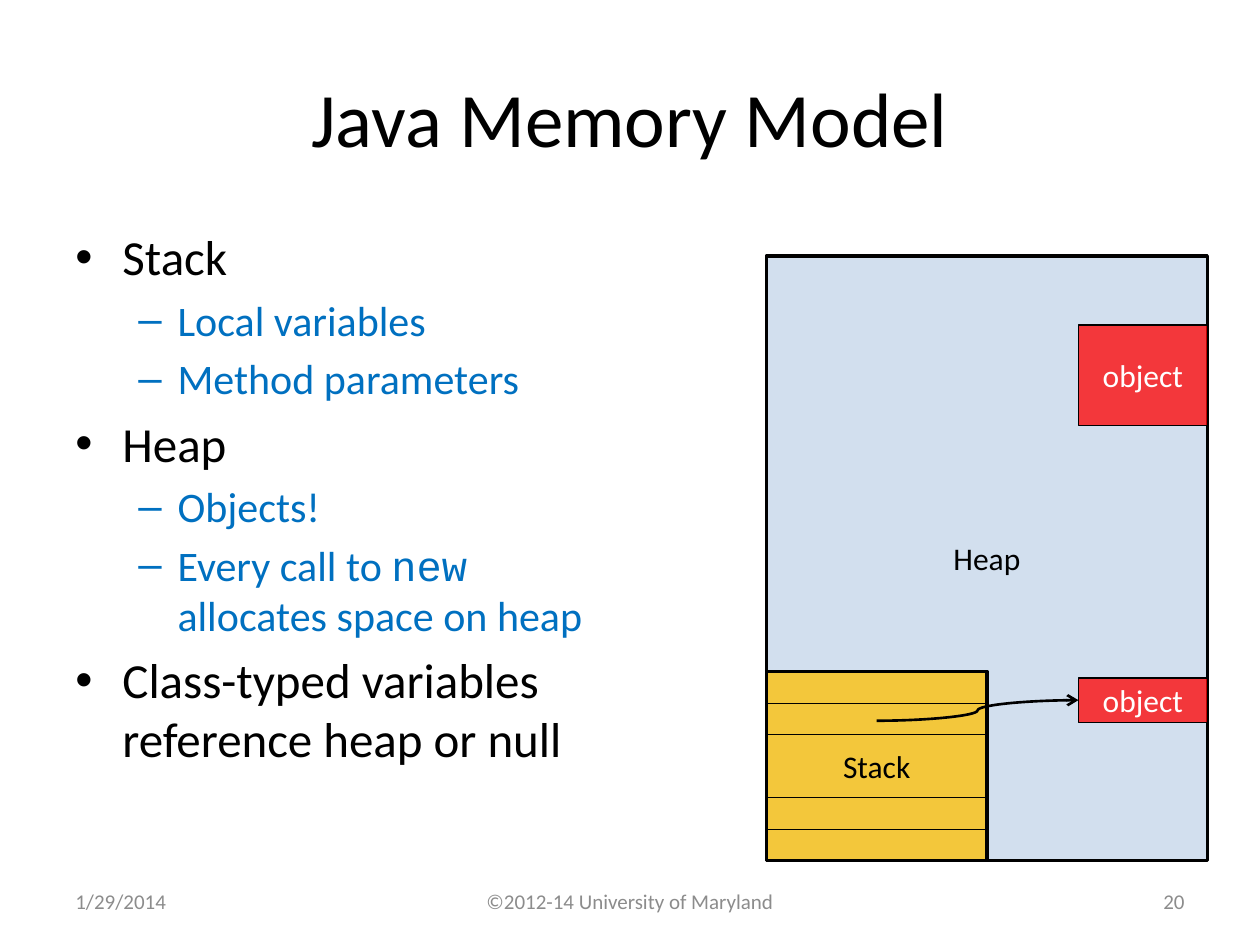
from dataclasses import dataclass

from lxml.etree import SubElement
from pptx import Presentation
from pptx.dml.color import RGBColor
from pptx.enum.shapes import MSO_CONNECTOR as Link, MSO_SHAPE as Preset
from pptx.enum.text import MSO_ANCHOR as Anchor, PP_ALIGN as Align
from pptx.oxml.ns import qn
from pptx.util import Cm, Pt


@dataclass(frozen=True)
class Theme:
    black: RGBColor = RGBColor(0, 0, 0)
    white: RGBColor = RGBColor(255, 255, 255)
    detail: RGBColor = RGBColor(0x00, 0x70, 0xC0)
    footer: RGBColor = RGBColor(0x8C, 0x8C, 0x8C)
    heap: RGBColor = RGBColor(0x4F, 0x81, 0xBD)
    stack: RGBColor = RGBColor(0xFF, 0xC0, 0x00)
    instance: RGBColor = RGBColor(0xFF, 0x00, 0x00)
    font: str = "Calibri"
    code_font: str = "Courier New"
    title_size: int = 44
    topic_size: int = 28
    detail_size: int = 24
    label_size: int = 18
    footer_size: int = 12


THEME = Theme()

# Per outline level: marker, left margin, hanging indent, size, colour
LEVELS = [
    ("•", Cm(0.95), Cm(0.95), THEME.topic_size, THEME.black),
    ("–", Cm(2.06), Cm(0.79), THEME.detail_size, THEME.detail),
]

# Each entry: level, then runs as (words, is code)
OUTLINE = [
    (0, [("Stack", False)]),
    (1, [("Local variables", False)]),
    (1, [("Method parameters", False)]),
    (0, [("Heap", False)]),
    (1, [("Objects!", False)]),
    (1, [("Every call to ", False), ("new", True),
         (" allocates space on heap", False)]),
    (0, [("Class-typed variables reference heap or null", False)]),
]


def add_run(paragraph, words, size, color, font=THEME.font):
    run = paragraph.add_run()
    run.text = words
    run.font.color.rgb = color
    for attribute, value in {"name": font, "size": Pt(size)}.items():
        setattr(run.font, attribute, value)


def add_text(slide, box, words, size, color, align):
    frame = slide.shapes.add_textbox(*box).text_frame
    frame.word_wrap = True
    frame.vertical_anchor = Anchor.MIDDLE
    line = frame.paragraphs[0]
    line.alignment = align
    add_run(line, words, size, color)


def add_outline(slide, box, entries):
    frame = slide.shapes.add_textbox(*box).text_frame
    frame.word_wrap = True
    for index, (level, runs) in enumerate(entries):
        marker, margin, hanging, size, color = LEVELS[level]
        entry = frame.add_paragraph() if index else frame.paragraphs[0]
        entry.level = level
        entry.space_before = Pt(size * 0.2)
        properties = entry._p.get_or_add_pPr()
        properties.set("marL", str(margin))
        properties.set("indent", str(-hanging))
        SubElement(properties, qn("a:buFont"), typeface="Arial")
        SubElement(properties, qn("a:buChar"), char=marker)
        for words, is_code in runs:
            add_run(entry, words, size, color,
                    THEME.code_font if is_code else THEME.font)


def add_region(slide, box, label, fill, opacity, border, text_color):
    region = slide.shapes.add_shape(Preset.RECTANGLE, *box)
    region.shadow.inherit = False
    region.fill.solid()
    region.fill.fore_color.rgb = fill
    tint = region.fill._xPr.find(qn("a:solidFill"))[0]
    SubElement(tint, qn("a:alpha"), val=str(opacity * 1000))
    region.line.color.rgb = THEME.black
    region.line.width = Pt(border)
    region.text_frame.vertical_anchor = Anchor.MIDDLE
    line = region.text_frame.paragraphs[0]
    line.alignment = Align.CENTER
    add_run(line, label, THEME.label_size, text_color)
    return region


def add_line(slide, kind, start, end, width):
    line = slide.shapes.add_connector(kind, *start, *end)
    line.line.color.rgb = THEME.black
    line.line.width = Pt(width)
    SubElement(line._element.spPr, qn("a:effectLst"))
    return line


def add_memory(slide):
    left, top, width, height = Cm(15.45), Cm(5.16), Cm(8.89), Cm(12.19)
    right, bottom = left + width, top + height

    # Heap with the stack in its lower left corner
    add_region(slide, (left, top, width, height), "Heap",
               THEME.heap, 25, 2, THEME.black)
    stack_width, stack_height = width // 2, Cm(3.81)
    stack_top = bottom - stack_height
    add_region(slide, (left, stack_top, stack_width, stack_height), "Stack",
               THEME.stack, 75, 2, THEME.black)

    # Stack frames: six rows, the middle two left open for the label
    for row in (1, 2, 4, 5):
        y = stack_top + stack_height * row // 6
        add_line(slide, Link.STRAIGHT, (left, y), (left + stack_width, y), 0.75)

    # Objects along the right edge of the heap
    object_width = Cm(2.6)
    object_left = right - object_width
    referenced, _ = [
        add_region(slide, (object_left, y, object_width, h), "object",
                   THEME.instance, 75, 0.75, THEME.white)
        for y, h in ((Cm(13.67), Cm(0.89)), (Cm(6.55), Cm(2.03)))
    ]

    # Reference from a stack variable to its object
    reference = add_line(
        slide, Link.CURVE, (left + stack_width // 2, Cm(14.53)),
        (object_left, referenced.top + referenced.height // 2), 1.5)
    reference.end_connect(referenced, 1)
    SubElement(reference.line._get_or_add_ln(), qn("a:tailEnd"), type="arrow")


def add_footer(slide):
    top, height = Cm(17.65), Cm(1.02)
    for left, width, words, align in (
        (Cm(1.27), Cm(5.92), "1/29/2014", Align.LEFT),
        (Cm(8.68), Cm(8.04), "©2012-14 University of Maryland", Align.CENTER),
        (Cm(18.21), Cm(5.92), "20", Align.RIGHT),
    ):
        add_text(slide, (left, top, width, height), words,
                 THEME.footer_size, THEME.footer, align)


def main():
    deck = Presentation()
    deck.slide_width, deck.slide_height = Cm(25.4), Cm(19.05)
    slide = deck.slides.add_slide(deck.slide_layouts[6])

    add_text(slide, (Cm(1.27), Cm(0.76), Cm(22.86), Cm(3.18)),
             "Java Memory Model", THEME.title_size, THEME.black, Align.CENTER)
    add_outline(slide, (Cm(1.27), Cm(4.45), Cm(11.23), Cm(12.57)), OUTLINE)
    add_memory(slide)
    add_footer(slide)
    deck.save("out.pptx")


if __name__ == "__main__":
    main()
